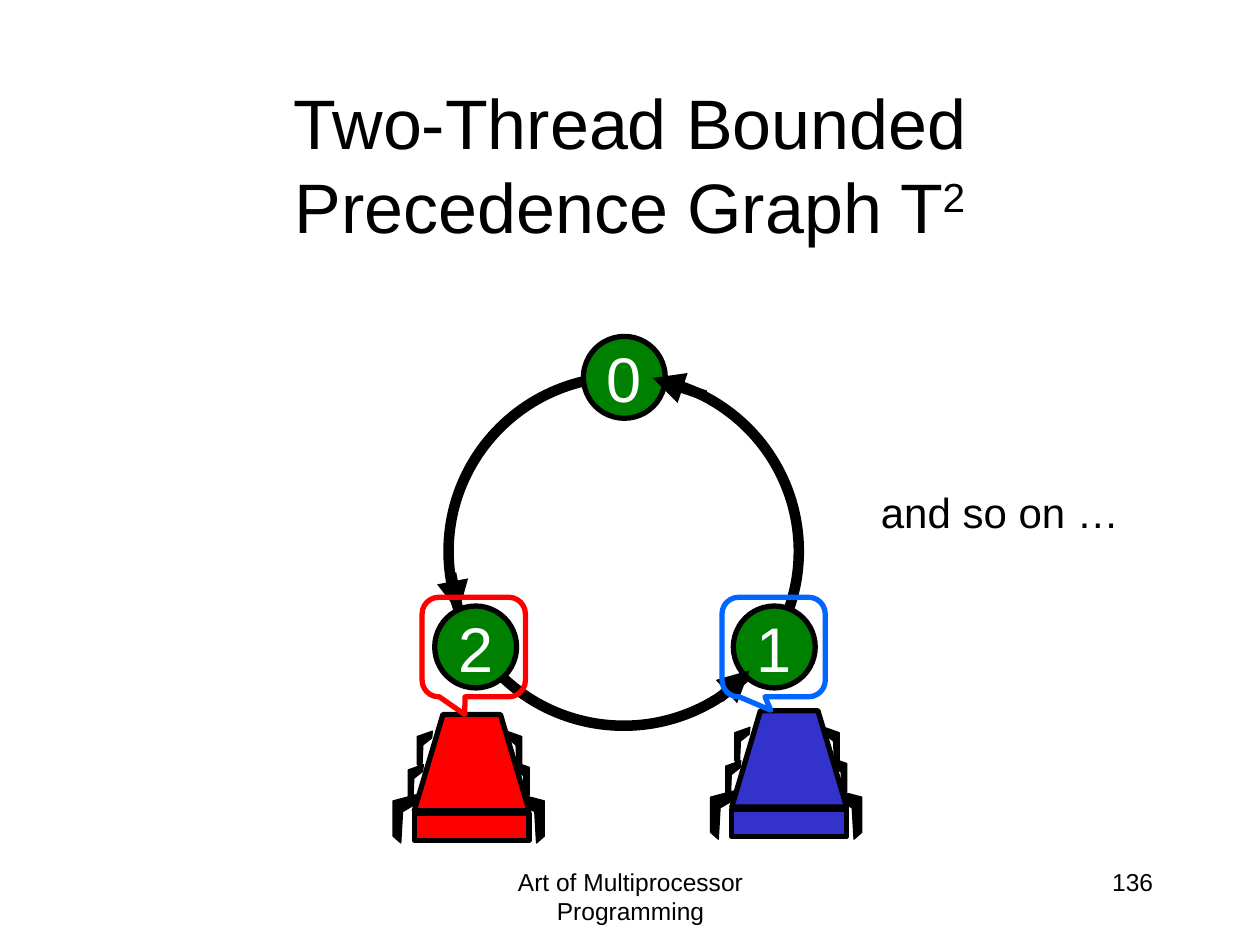
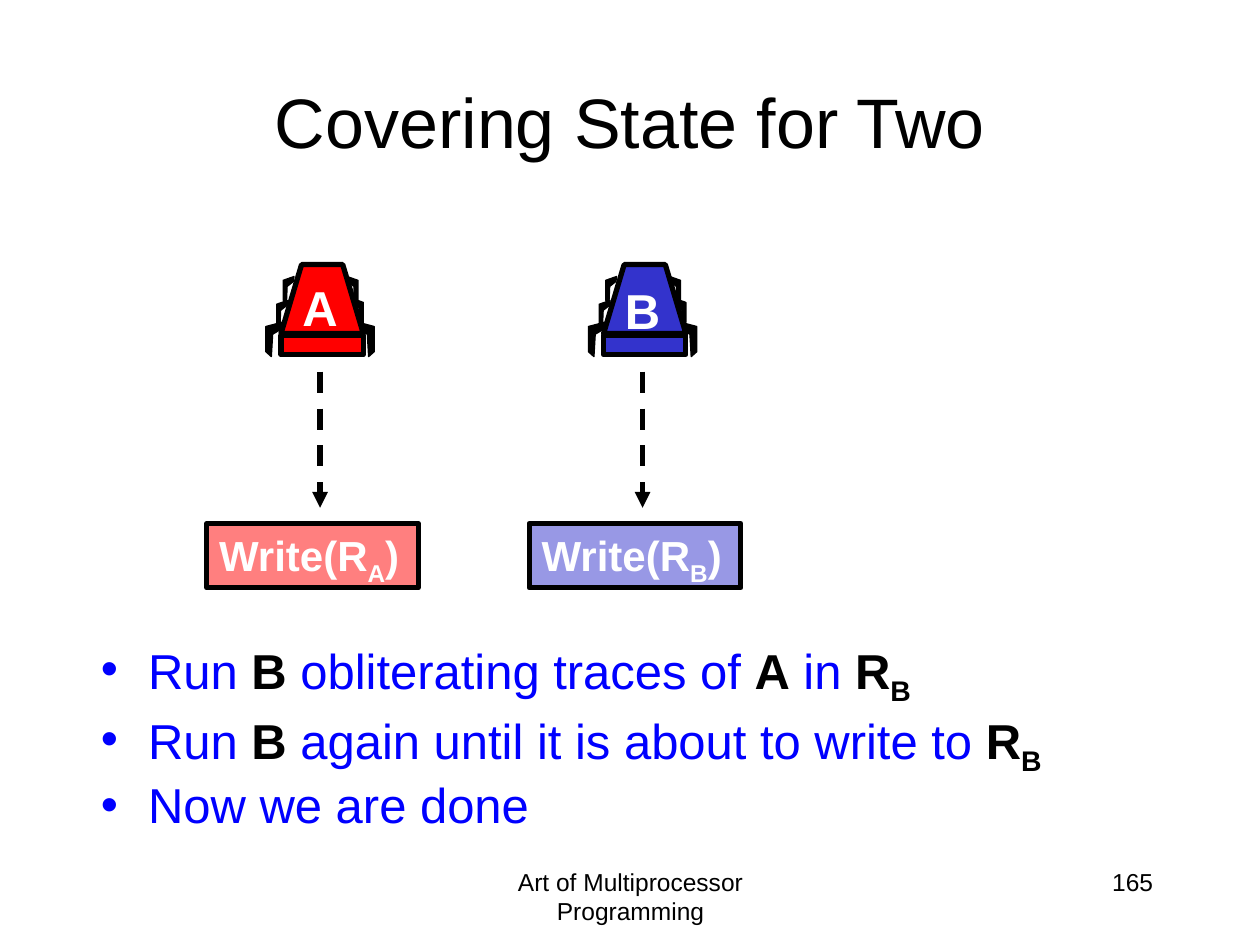
from lxml import etree
from pptx import Presentation
from pptx.dml.color import RGBColor
from pptx.enum.dml import MSO_LINE
from pptx.enum.shapes import MSO_CONNECTOR, MSO_SHAPE as SHAPE
from pptx.enum.text import MSO_ANCHOR as ANCHOR, MSO_AUTO_SIZE as FIT, PP_ALIGN as ALIGN
from pptx.oxml.ns import qn
from pptx.util import Inches, Pt

# The slide is a grid of 100 columns by 75 rows of square cells.
CELL = Inches(0.1)
FONT = "Arial"
BLACK, WHITE, GREEN = "000000", "FFFFFF", "008000"
RED, NAVY, SKY, BLUE = "FF0000", "3333CC", "0066FF", "0000FF"
SUB, SUP = -25, 30

# Leg outline as shares of its own box, bending out to the right.
LEG = [(0, 0), (1, .14), (1, .86), (.7, 1), (.63, .36), (.05, .18)]
# Legs as shares of the robot's box: left, top, width, height, side.
LOW_LEGS = [(.83, .62, .17, .38, 1), (.8, .37, .1, .3, 1),
            (0, .62, .17, .38, -1), (.1, .39, .1, .3, -1)]
TOP_LEGS = [(.75, .13, .1, .3, 1), (.16, .13, .1, .3, -1)]


def cells(*sizes):
    return [round(size * CELL) for size in sizes]


def rgb(code):
    return RGBColor.from_string(code)


def paint(shape, fill, width, line=BLACK, alpha=None):
    shape.shadow.inherit = False
    shape.line.color.rgb = rgb(line)
    shape.line.width = Pt(width)
    if not fill:
        shape.fill.background()
        return
    shape.fill.solid()
    shape.fill.fore_color.rgb = rgb(fill)
    if alpha:
        tint = shape.fill._xPr.find(".//" + qn("a:srgbClr"))
        etree.SubElement(tint, qn("a:alpha"), val=str(alpha * 1000))


def write(par, runs, size, color=BLACK, bold=False, align=None):
    """Each run is a text, or a tuple of text, colour, bold and baseline."""
    if align is not None:
        par.alignment = align
    for part in runs:
        if isinstance(part, str):
            part = (part, color, bold, 0)
        text, tone, heavy, base = part
        run = par.add_run()
        run.text = text
        run.font.name, run.font.size = FONT, Pt(size)
        run.font.bold = heavy
        run.font.color.rgb = rgb(tone)
        if base:
            run._r.get_or_add_rPr().set("baseline", str(base * 1000))


def note(slide, box, text, size, align, wrap=False, **look):
    frame = slide.shapes.add_textbox(*cells(*box)).text_frame
    frame.word_wrap = wrap
    write(frame.paragraphs[0], [text], size, align=align, **look)


def arrow(slide, start, end, width, dash=False):
    line = slide.shapes.add_connector(MSO_CONNECTOR.STRAIGHT, *cells(*start, *end))
    line.line.color.rgb = rgb(BLACK)
    line.line.width = Pt(width)
    if dash:
        line.line.dash_style = MSO_LINE.DASH
    etree.SubElement(line.line._get_or_add_ln(), qn("a:tailEnd"), type="triangle")
    etree.SubElement(line._element.spPr, qn("a:effectLst"))


def start(deck, layout, top, title, page):
    """Add a slide with its title and footer."""
    slide = deck.slides.add_slide(deck.slide_layouts[layout])
    head = slide.shapes.title
    head.left, head.top, head.width, head.height = cells(7.5, top, 85, 12.5)
    head.text_frame.auto_size = FIT.NONE
    head.text_frame.vertical_anchor = ANCHOR.MIDDLE
    write(head.text_frame.paragraphs[0], title, 40, align=ALIGN.CENTER)
    note(slide, (34.2, 68.3, 31.7, 5), "Art of Multiprocessor Programming", 14,
         ALIGN.CENTER, True)
    note(slide, (71.7, 68.3, 20.8, 5), page, 14, ALIGN.RIGHT, True)
    return slide


def outline(slide, box, points, fill, width):
    """Draw a closed outline whose points are shares of the box."""
    left, top, wide, high = box
    spots = [cells(left + x * wide, top + y * high) for x, y in points]
    pen = slide.shapes.build_freeform(*spots[0], scale=1.0)
    pen.add_line_segments(spots[1:], close=True)
    paint(pen.convert_to_shape(), fill, width)


def robot(slide, box, fill):
    left, top, wide, high = box

    def legs(rows):
        for x, y, w, h, side in rows:
            points = [(px if side > 0 else 1 - px, py) for px, py in LEG]
            spot = (left + x * wide, top + y * high, w * wide, h * high)
            outline(slide, spot, points, BLACK, 0.75)

    legs(LOW_LEGS)
    outline(slide, box, [(.14, .75), (.33, 0), (.71, 0), (.9, .75)], fill, 3)
    base = slide.shapes.add_shape(SHAPE.RECTANGLE, *cells(
        left + .14 * wide, top + .77 * high, .76 * wide, .21 * high))
    paint(base, fill, 3)
    legs(TOP_LEGS)


def node(slide, left, top, text):
    disc = slide.shapes.add_shape(SHAPE.OVAL, *cells(left, top, 6.5, 6.5))
    paint(disc, GREEN, 3)
    disc.text_frame.word_wrap = False
    disc.text_frame.vertical_anchor = ANCHOR.MIDDLE
    write(disc.text_frame.paragraphs[0], [text], 36, WHITE, align=ALIGN.CENTER)


def token(slide, left, top, fill, line, tip):
    """Place a robot whose callout rings the node above it."""
    robot(slide, (left, top, 12, 10.2), fill)
    call = slide.shapes.add_shape(SHAPE.ROUNDED_RECTANGULAR_CALLOUT,
                                  *cells(left + (2.3 if fill == RED else .9),
                                         47.4, 8.2, 7.9))
    for i, value in enumerate((*tip, .167)):
        call.adjustments[i] = value
    paint(call, None, 3, line)


def graph(deck):
    slide = start(deck, 5, 6.7, ["Two-Thread Bounded Precedence Graph T",
                                 ("2", BLACK, False, SUP)], "136")
    ring = slide.shapes.add_shape(SHAPE.OVAL, *cells(35.6, 29.9, 27.8, 27.7))
    paint(ring, None, 6)
    for left, top, text in [(46.3, 26.7, "0"), (58.2, 48.1, "1"), (34.5, 48.1, "2")]:
        node(slide, left, top, text)
    note(slide, (68.7, 38.1, 21.1, 5.1), "and so on …", 24, ALIGN.RIGHT)
    for tail, tip in [((35.8, 45.5), (36.4, 48.6)), ((57.1, 55.4), (59.5, 53.2)),
                      ((56, 31.4), (51.8, 30))]:
        arrow(slide, tail, tip, 6)
    token(slide, 56.4, 56.4, NAVY, SKY, (-.027, .635))
    token(slide, 31.2, 56.7, RED, RED, (-.088, .677))


def thread(slide, left, name, fill, drop):
    """Draw a named robot about to write to its register."""
    mid = left + 4.3
    box = slide.shapes.add_shape(SHAPE.RECTANGLE, *cells(left - 4.7, 41.55, 16.8, 5.1))
    paint(box, fill, 3, alpha=50)
    frame = box.text_frame
    frame.word_wrap = False
    frame.auto_size = FIT.SHAPE_TO_FIT_TEXT
    frame.vertical_anchor = ANCHOR.TOP
    write(frame.paragraphs[0], ["Write(R", (name, WHITE, True, SUB), ")"], 24,
          WHITE, True, ALIGN.LEFT)
    robot(slide, (left, 21, 8.6, 7.3), fill)
    note(slide, (mid - 2.4, 21 + drop, 4.8, 5.7), name, 28, ALIGN.CENTER,
         color=WHITE, bold=True)
    arrow(slide, (mid, 29.5), (mid, 40.3), 3, dash=True)


def steps(slide, box, rows):
    body = slide.placeholders[1]
    body.left, body.top, body.width, body.height = cells(*box)
    frame = body.text_frame
    frame.auto_size = FIT.NONE
    for i, runs in enumerate(rows):
        par = frame.add_paragraph() if i else frame.paragraphs[0]
        par.line_spacing = 0.9
        if not i:
            par.space_before = Pt(0)
        write(par, runs, 28, BLUE)


def cover(deck):
    slide = start(deck, 1, 3.3, ["Covering State for Two"], "165")
    a, b, r = [(key, BLACK, True, 0) for key in "ABR"]
    low = ("B", BLACK, True, SUB)
    steps(slide, (7, 50.4, 84.8, 16.3), [
        ["Run ", b, " obliterating traces of ", a, " in ", r, low],
        ["Run ", b, " again until it is about to write to ", r, low],
        ["Now we are done"]])
    thread(slide, 46.7, "B", NAVY, .8)
    thread(slide, 21.1, "A", RED, .5)


def main():
    deck = Presentation()
    deck.slide_width, deck.slide_height = cells(100, 75)
    graph(deck)
    cover(deck)
    deck.save("out.pptx")


if __name__ == "__main__":
    main()
